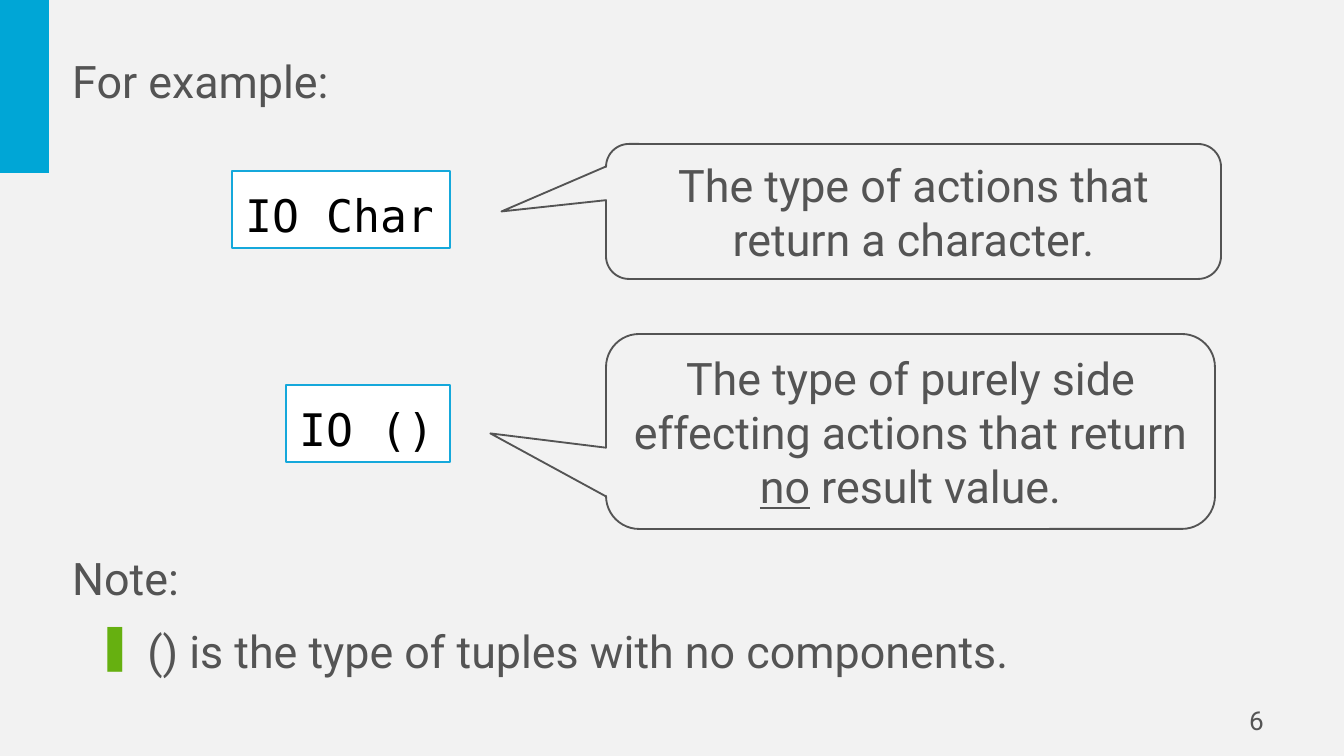
import dataclasses
import typing

import lxml.etree
import pptx
import pptx.dml.color
import pptx.enum.shapes
import pptx.enum.text
import pptx.oxml.ns
import pptx.shapes.autoshape
import pptx.slide
import pptx.text.text
import pptx.util

EMU_PER_PIXEL = 914400 / 134.4
COLOURS = {
    "background": "F2F2F2",
    "accent": "00A6D6",
    "code_line": "15A8DB",
    "code_fill": "FFFFFF",
    "code_text": "000000",
    "body": "545454",
    "bullet": "66B010",
}
SHAPES = pptx.enum.shapes.MSO_SHAPE
ALIGN = pptx.enum.text.PP_ALIGN
ANCHOR = pptx.enum.text.MSO_ANCHOR
GROW = pptx.enum.text.MSO_AUTO_SIZE.SHAPE_TO_FIT_TEXT

BODY_FONT = {"name": "Roboto", "size": pptx.util.Pt(24)}
CODE_FONT = BODY_FONT | {"name": "DejaVu Sans Mono"}
NUMBER_FONT = BODY_FONT | {"size": pptx.util.Pt(14)}
LABEL_FRAME = {"word_wrap": False, "vertical_anchor": ANCHOR.MIDDLE, "auto_size": GROW}
CALLOUT_FRAME = LABEL_FRAME | {"word_wrap": True}
NUMBER_FRAME = {"word_wrap": True, "vertical_anchor": ANCHOR.MIDDLE}
BULLET_FRAME = {"word_wrap": True, "vertical_anchor": ANCHOR.TOP}


class Area(typing.NamedTuple):
    """A rectangle in whole pixels."""
    left: int
    top: int
    width: int
    height: int


class Piece(typing.NamedTuple):
    """A stretch of text with one format."""
    text: str
    underline: bool = False


@dataclasses.dataclass(frozen=True)
class TextStyle:
    """Formats of a text frame, its paragraph and its font."""
    frame: dict[str, typing.Any]
    paragraph: dict[str, typing.Any]
    font: dict[str, typing.Any]
    colour: str = "body"


@dataclasses.dataclass(frozen=True)
class Example:
    """A type in a code box and the callout that explains it."""
    code: str
    code_area: Area
    callout_area: Area
    tip: tuple[float, float]
    explanation: tuple[Piece, ...]


LABEL = TextStyle(LABEL_FRAME, {"alignment": ALIGN.LEFT}, BODY_FONT)
CODE = TextStyle(LABEL_FRAME, {"alignment": ALIGN.LEFT, "line_spacing": 1.2}, CODE_FONT, "code_text")
CALLOUT = TextStyle(CALLOUT_FRAME, {"alignment": ALIGN.CENTER}, BODY_FONT)
NUMBER = TextStyle(NUMBER_FRAME, {"alignment": ALIGN.RIGHT}, NUMBER_FONT)
BULLET = TextStyle(BULLET_FRAME, {"alignment": ALIGN.LEFT}, BODY_FONT)

LABELS = [
    (Area(59, 47, 288, 67), "For example:", LABEL),
    (Area(59, 544, 137, 67), "Note:", LABEL),
    (Area(964, 700, 313, 40), "6", NUMBER),
]
EXAMPLES = [
    Example("IO Char", Area(232, 171, 218, 77), Area(606, 144, 615, 135), (-0.67, 0),
            (Piece("The type of actions that return a character."),)),
    Example("IO ()", Area(286, 385, 164, 77), Area(606, 334, 609, 195), (-0.69, 0.01),
            (Piece("The type of purely side effecting actions that return "),
             Piece("no", True), Piece(" result value."))),
]


def emu(pixels: int) -> int:
    """Turn pixels into EMU."""
    return round(pixels * EMU_PER_PIXEL)


def colour(name: str) -> pptx.dml.color.RGBColor:
    """Look up a named colour."""
    return pptx.dml.color.RGBColor.from_string(COLOURS[name])


def set_all(target: typing.Any, values: dict[str, typing.Any]) -> None:
    """Set each attribute in values on target."""
    for name, value in values.items():
        setattr(target, name, value)


def write(frame: pptx.text.text.TextFrame, pieces: tuple[Piece, ...], style: TextStyle) -> None:
    """Fill a text frame with one styled paragraph."""
    set_all(frame, style.frame)
    paragraph = frame.paragraphs[0]
    set_all(paragraph, style.paragraph)
    for piece in pieces:
        run = paragraph.add_run()
        run.text = piece.text
        set_all(run.font, style.font | {"underline": piece.underline})
        run.font.color.rgb = colour(style.colour)


def add_text(slide: pptx.slide.Slide, area: Area, text: str,
             style: TextStyle) -> pptx.shapes.autoshape.Shape:
    """Add a text box."""
    shape = slide.shapes.add_textbox(*map(emu, area))
    write(shape.text_frame, (Piece(text),), style)
    return shape


def add_box(slide: pptx.slide.Slide, kind: SHAPES, area: Area, fill: str | None = None,
            line: str | None = None, weight: float = 1) -> pptx.shapes.autoshape.Shape:
    """Add a preset shape with a plain fill and outline."""
    shape = slide.shapes.add_shape(kind, *map(emu, area))
    shape.shadow.inherit = False
    if fill:
        shape.fill.solid()
        shape.fill.fore_color.rgb = colour(fill)
    else:
        shape.fill.background()
    if line:
        shape.line.color.rgb = colour(line)
        shape.line.width = pptx.util.Pt(weight)
    else:
        shape.line.fill.background()
    return shape


def add_example(slide: pptx.slide.Slide, example: Example) -> None:
    """Add a code box and its callout."""
    code_box = add_box(slide, SHAPES.RECTANGLE, example.code_area, "code_fill", "code_line", 0.75)
    write(code_box.text_frame, (Piece(example.code),), CODE)
    callout = add_box(slide, SHAPES.ROUNDED_RECTANGULAR_CALLOUT, example.callout_area, line="body")
    for index, value in enumerate((*example.tip, 0.17)):
        callout.adjustments[index] = value
    write(callout.text_frame, example.explanation, CALLOUT)


def add_bullet(paragraph: typing.Any, character: str, indent: int) -> None:
    """Give a paragraph a coloured bullet, a hanging indent and space before."""
    tag = pptx.oxml.ns.qn
    properties = paragraph._p.get_or_add_pPr()
    properties.set("marL", str(emu(indent)))
    properties.set("indent", str(-emu(indent)))
    space = lxml.etree.SubElement(properties, tag("a:spcBef"))
    lxml.etree.SubElement(space, tag("a:spcPct"), val="20000")
    bullet_colour = lxml.etree.SubElement(properties, tag("a:buClr"))
    lxml.etree.SubElement(bullet_colour, tag("a:srgbClr"), val=COLOURS["bullet"])
    lxml.etree.SubElement(properties, tag("a:buChar"), char=character)


def main() -> None:
    """Build and save the slide."""
    presentation = pptx.Presentation()
    set_all(presentation, {"slide_width": emu(1344), "slide_height": emu(756)})
    slide = presentation.slides.add_slide(presentation.slide_layouts[6])
    slide.background.fill.solid()
    slide.background.fill.fore_color.rgb = colour("background")

    add_box(slide, SHAPES.RECTANGLE, Area(0, 0, 49, 173), "accent")
    for area, text, style in LABELS:
        add_text(slide, area, text, style)
    for example in EXAMPLES:
        add_example(slide, example)
    note = add_text(slide, Area(83, 617, 1111, 70),
                    "() is the type of tuples with no components.", BULLET)
    add_bullet(note.text_frame.paragraphs[0], "\u275a", 51)
    presentation.save("out.pptx")


main()
